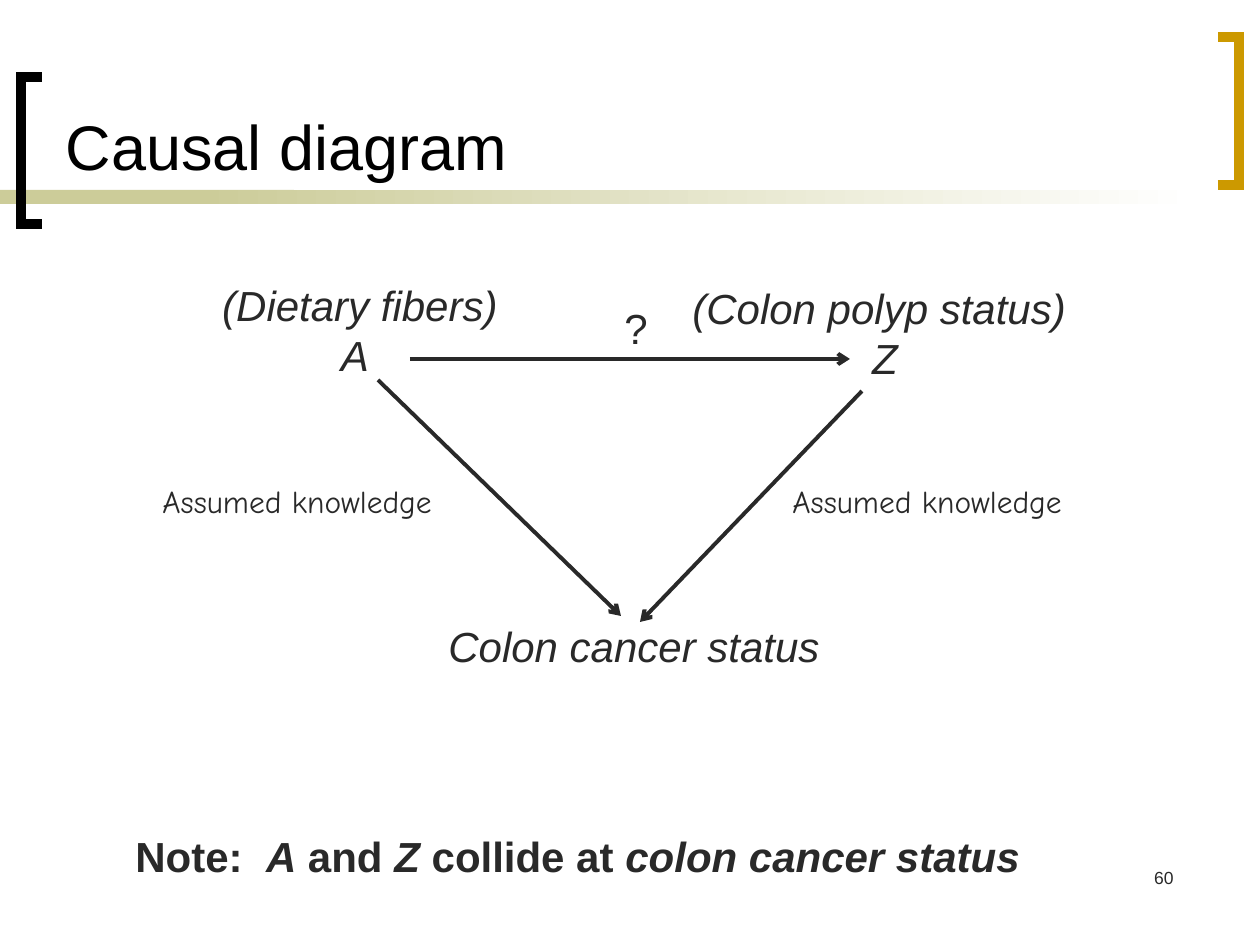
"""Build the causal diagram slide."""
from dataclasses import dataclass

from lxml import etree
from pptx import Presentation
from pptx.dml.color import RGBColor
from pptx.enum.shapes import MSO_CONNECTOR, MSO_SHAPE
from pptx.enum.text import MSO_ANCHOR, MSO_AUTO_SIZE, PP_ALIGN
from pptx.oxml.ns import qn
from pptx.util import Emu, Pt

LEFT, CENTER, RIGHT = PP_ALIGN.LEFT, PP_ALIGN.CENTER, PP_ALIGN.RIGHT
RECTANGLE = MSO_SHAPE.RECTANGLE
STRAIGHT = MSO_CONNECTOR.STRAIGHT
BOTTOM = MSO_ANCHOR.BOTTOM
FIXED = MSO_AUTO_SIZE.NONE
PX = 914400 / 126
COLORS = {"text": "292929", "title": "000000", "gold": "CC9900",
          "olive": "CCCC99", "white": "FFFFFF"}


@dataclass(frozen=True)
class Run:
    text: str
    italic: bool = False
    bold: bool = False


@dataclass(frozen=True)
class Label:
    box: tuple[int, int, int, int]
    paragraphs: tuple[tuple[Run, ...], ...]
    size: int = 24
    align: PP_ALIGN = LEFT
    font: str = "Arial"
    wrap: bool = False
    color: str = "text"


@dataclass(frozen=True)
class Arrow:
    start: tuple[int, int]
    end: tuple[int, int]


@dataclass(frozen=True)
class Bracket:
    tip: int
    spine: int
    top: int
    bottom: int
    color: str


TITLE = Label((53, 14, 1176, 175), ((Run("Causal diagram"),),), 36,
              wrap=True, color="title")
LABELS = [
    Label((924, 861, 262, 63), ((Run("60"),),), 10, RIGHT, wrap=True),
    Label((210, 273, 300, 113),
          ((Run("(Dietary fibers)", True),), (Run("A ", True),)), align=CENTER),
    Label((680, 276, 410, 113),
          ((Run("(Colon polyp status) ", True),), (Run("Z", True),)), align=CENTER),
    Label((349, 614, 570, 63), ((Run("Colon cancer status", True),),),
          align=CENTER, wrap=True),
    Label((612, 296, 48, 63), ((Run("?"),),)),
    Label((123, 824, 910, 63), ((
        Run("Note:  ", False, True), Run("A", True, True),
        Run(" and ", False, True), Run("Z", True, True),
        Run(" collide at ", False, True),
        Run("colon cancer status", True, True)),)),
] + [Label((x, 476, 295, 50), ((Run("Assumed knowledge"),),), 18,
           font="Comic Neue") for x in (150, 780)]
ARROWS = [
    Arrow((378, 380), (621, 616)),
    Arrow((862, 391), (640, 622)),
    Arrow((410, 359), (850, 359)),
]
BRACKETS = [
    Bracket(42, 21, 77, 224, "title"),
    Bracket(1218, 1239, 37, 185, "gold"),
]


def px(n: int) -> Emu:
    return Emu(round(n * PX))


def rgb(name: str) -> RGBColor:
    return RGBColor.from_string(COLORS[name])


def add_band(slide, left: int, width: int, fade: bool) -> None:
    s = slide.shapes.add_shape(RECTANGLE, px(left), px(190), px(width), px(14))
    s.shadow.inherit = False
    s.line.fill.background()
    if fade:
        s.fill.gradient()
        s.fill.gradient_angle = 0
        for stop, name, pos in zip(s.fill.gradient_stops, ("olive", "white"), (0, 1)):
            stop.color.rgb = rgb(name)
            stop.position = pos
    else:
        s.fill.solid()
        s.fill.fore_color.rgb = rgb("olive")


def add_bracket(slide, b: Bracket) -> None:
    builder = slide.shapes.build_freeform(b.tip, b.bottom, PX)
    builder.add_line_segments(
        [(b.spine, b.bottom), (b.spine, b.top), (b.tip, b.top)], close=False)
    s = builder.convert_to_shape()
    s.shadow.inherit = False
    s.fill.background()
    s.line.color.rgb = rgb(b.color)
    s.line.width = Pt(6)
    etree.SubElement(s.line._get_or_add_ln(), qn("a:miter"), lim="800000")


def add_arrow(slide, a: Arrow) -> None:
    s = slide.shapes.add_connector(STRAIGHT, *map(px, a.start + a.end))
    s.line.color.rgb = rgb("text")
    s.line.width = Pt(2.25)
    etree.SubElement(s.line._get_or_add_ln(), qn("a:tailEnd"), type="arrow")
    etree.SubElement(s._element.spPr, qn("a:effectLst"))


def write_text(sp, label: Label) -> None:
    sp.left, sp.top, sp.width, sp.height = map(px, label.box)
    tf = sp.text_frame
    tf.word_wrap = label.wrap
    tf.auto_size = FIXED
    for i, runs in enumerate(label.paragraphs):
        p = tf.add_paragraph() if i else tf.paragraphs[0]
        p.alignment = label.align
        for run in runs:
            r = p.add_run()
            r.text = run.text
            r.font.name = label.font
            r.font.size = Pt(label.size)
            r.font.color.rgb = rgb(label.color)
            r.font.italic = run.italic
            r.font.bold = run.bold


def main() -> None:
    prs = Presentation()
    prs.slide_width, prs.slide_height = px(1260), px(945)
    slide = prs.slides.add_slide(prs.slide_layouts[5])
    add_band(slide, 0, 294, False)
    add_band(slide, 199, 998, True)
    for bracket in BRACKETS:
        add_bracket(slide, bracket)
    title = slide.shapes.title
    write_text(title, TITLE)
    title.text_frame.vertical_anchor = BOTTOM
    for arrow in ARROWS:
        add_arrow(slide, arrow)
    for label in LABELS:
        write_text(slide.shapes.add_textbox(*map(px, label.box)), label)
    prs.save("out.pptx")


if __name__ == "__main__":
    main()
